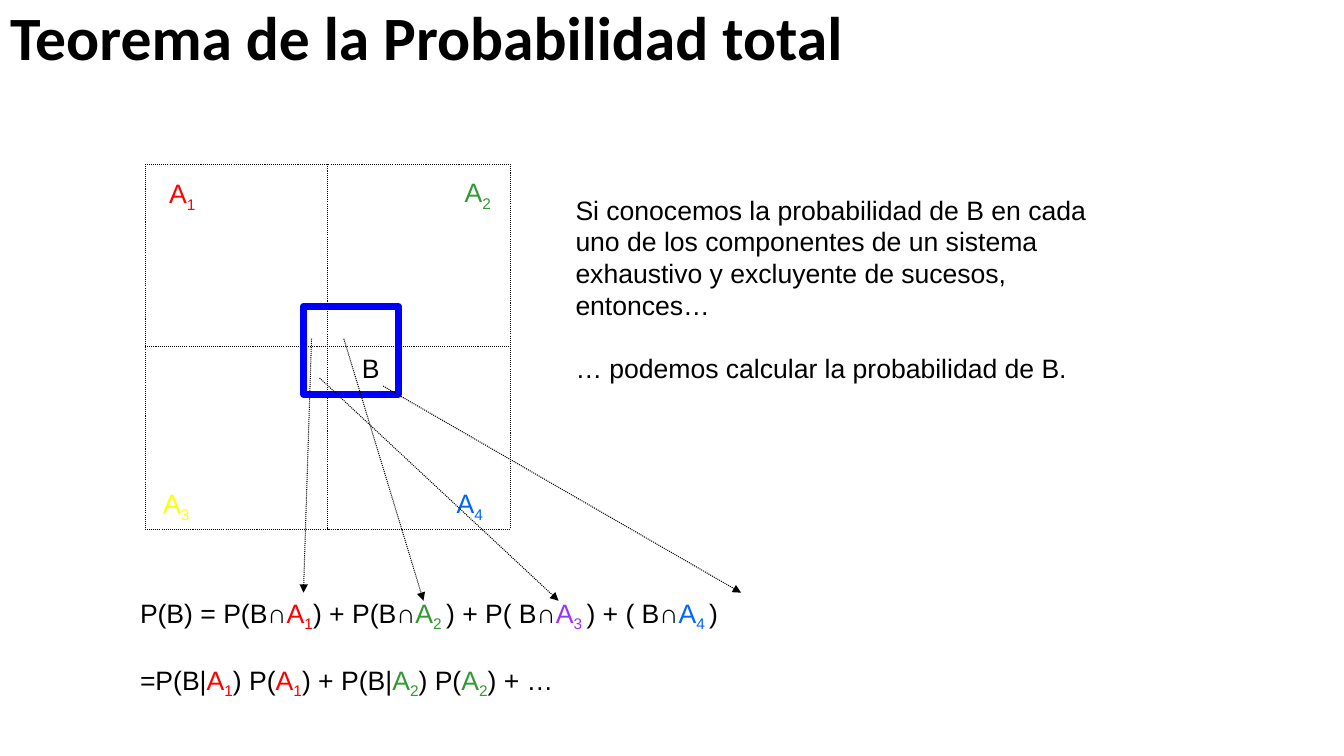
from lxml.etree import SubElement
from pptx import Presentation
from pptx.dml.color import RGBColor
from pptx.enum.dml import MSO_LINE
from pptx.enum.shapes import MSO_CONNECTOR, MSO_SHAPE
from pptx.enum.text import MSO_ANCHOR, MSO_AUTO_SIZE, PP_ALIGN
from pptx.oxml.ns import qn
from pptx.util import Inches, Pt

BLACK = RGBColor(0, 0, 0)
RED = RGBColor(0xFF, 0, 0)
GREEN = RGBColor(0x33, 0x99, 0x33)
YELLOW = RGBColor(0xFF, 0xFF, 0)
VIOLET = RGBColor(0x99, 0x33, 0xFF)
AZURE = RGBColor(0, 0x66, 0xFF)
BLUE = RGBColor(0, 0, 0xFF)

# Content: "A1" stands for a coloured A with subscript 1
TITLE = "Teorema de la Probabilidad total"
HUES = {"1": RED, "2": GREEN, "3": VIOLET, "4": AZURE}
LABELS = [  # text, left, top, colour
    ("A1", 1.58, 1.71, RED),
    ("A2", 4.51, 1.7, GREEN),
    ("A3", 1.52, 4.78, YELLOW),
    ("A4", 4.43, 4.78, AZURE),
]
NOTE = [
    "Si conocemos la probabilidad de B en cada uno de los componentes "
    "de un sistema exhaustivo y excluyente de sucesos, entonces…",
    "… podemos calcular la probabilidad de B.",
]
FORMULA = [
    "P(B) = P(B∩A1) + P(B∩A2 ) + P( B∩A3 ) + ( B∩A4 )",
    "=P(B|A1) P(A1) + P(B|A2) P(A2) + …",
]
ARROWS = [  # from x, y, to x, y
    (3.09, 3.36, 3.01, 5.88),
    (3.41, 3.36, 4.2, 5.96),
    (3.17, 3.75, 5.54, 5.96),
    (3.8, 3.83, 7.35, 5.88),
]
LEFT, TOP, SIDE = 1.44, 1.63, 3.62
SIZE, GAP = Pt(19), Pt(22)

deck = Presentation()
deck.slide_width, deck.slide_height = Inches(13.33), Inches(7.5)
slide = deck.slides.add_slide(deck.slide_layouts[5])


def add_run(para, text, color, sub=False):
    run = para.add_run()
    run.text = text
    run.font.size = SIZE
    run.font.name = "Arial"
    run.font.color.rgb = color
    if sub:
        run.font._element.set("baseline", "-25000")


def add_math(para, line, hues):
    head, *terms = line.split("A")
    if head:
        add_run(para, head, BLACK)
    for term in terms:
        cut = 2 if term[1:2] == " " else 1
        hue = hues[term[0]]
        add_run(para, "A", hue)
        add_run(para, term[:cut], hue, sub=True)
        if term[cut:]:
            add_run(para, term[cut:], BLACK)


def add_text(home, lines, x, y, w, h, hues=HUES, wrap=False):
    frame = home.add_textbox(*map(Inches, (x, y, w, h))).text_frame
    frame.word_wrap = wrap
    frame.auto_size = MSO_AUTO_SIZE.SHAPE_TO_FIT_TEXT
    for i, line in enumerate(lines):
        para = frame.add_paragraph() if i else frame.paragraphs[0]
        if i:
            para.space_before = GAP
        add_math(para, line, hues)


def set_line(line, color, width, dash=None):
    line.color.rgb = color
    line.width = Pt(width)
    if dash:
        line.dash_style = dash


def add_box(home, x, y, w, h):
    box = home.add_shape(MSO_SHAPE.RECTANGLE, *map(Inches, (x, y, w, h)))
    box.shadow.inherit = False
    box.fill.background()
    return box


def add_line(x1, y1, x2, y2):
    link = slide.shapes.add_connector(
        MSO_CONNECTOR.STRAIGHT, *map(Inches, (x1, y1, x2, y2)))
    set_line(link.line, BLACK, 0.75, MSO_LINE.ROUND_DOT)
    SubElement(link._element.spPr, qn("a:effectLst"))
    return link


# Title
title = slide.shapes.title
title.left, title.top = Inches(0), Inches(0.02)
title.width, title.height = Inches(13.33), Inches(1.45)
title.text_frame.text = TITLE
title.text_frame.vertical_anchor = MSO_ANCHOR.TOP
para = title.text_frame.paragraphs[0]
para.alignment = PP_ALIGN.LEFT
para.line_spacing = 0.9
font = para.runs[0].font
font.name, font.size, font.bold = "Calibri", Pt(44), True
font.color.rgb = BLACK

# Sample space split in four, each split joined to the square's sides
square = add_box(slide.shapes, LEFT, TOP, SIDE, SIDE)
set_line(square.line, BLACK, 0.75, MSO_LINE.ROUND_DOT)
mid_x, mid_y = LEFT + SIDE / 2, TOP + SIDE / 2
for ends, start, stop in [
    ((mid_x, TOP, mid_x, TOP + SIDE), 0, 2),
    ((LEFT, mid_y, LEFT + SIDE, mid_y), 1, 3),
]:
    split = add_line(*ends)
    split.begin_connect(square, start)
    split.end_connect(square, stop)
for text, x, y, hue in LABELS:
    add_text(slide.shapes, [text], x, y, 0.48, 0.42, {text[1]: hue})

# Event B
event = slide.shapes.add_group_shape().shapes
set_line(add_box(event, 3.01, 3.04, 0.94, 0.87).line, BLUE, 5)
add_text(event, ["B"], 3.49, 3.44, 0.38, 0.42)

# Explanation
add_text(slide.shapes, NOTE, 5.61, 1.87, 5.3, 2.31, wrap=True)

# Arrows from the parts of B to the terms of the sum
for ends in ARROWS:
    arrow = add_line(*ends)
    SubElement(arrow.line._get_or_add_ln(), qn("a:tailEnd"), type="triangle")

# Formula
add_text(slide.shapes, FORMULA, 1.29, 5.87, 6.09, 1.36)

deck.save("out.pptx")
